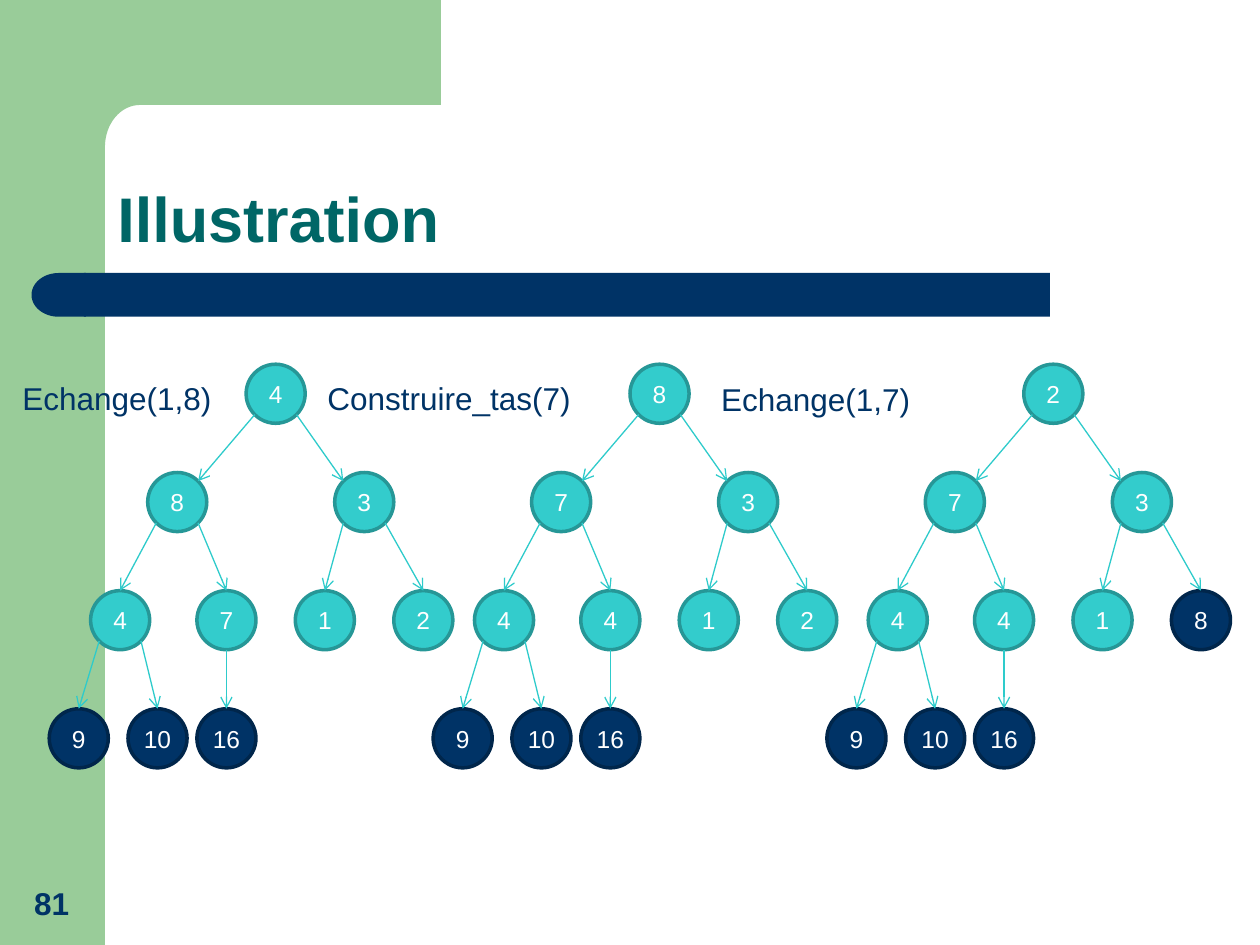
from math import cos, pi, sin

from lxml.etree import SubElement
from pptx import Presentation
from pptx.dml.color import RGBColor
from pptx.enum.shapes import MSO_CONNECTOR, MSO_SHAPE
from pptx.enum.text import MSO_ANCHOR, PP_ALIGN
from pptx.oxml.ns import qn
from pptx.util import Pt

GREEN = RGBColor(0x99, 0xCC, 0x99)
NAVY = RGBColor(0x00, 0x33, 0x66)
DARK_NAVY = RGBColor(0x00, 0x26, 0x4B)
TEAL = RGBColor(0x00, 0x66, 0x66)
TURQUOISE = RGBColor(0x33, 0xCC, 0xCC)
DARK_TURQUOISE = RGBColor(0x26, 0x97, 0x97)
ARROW = RGBColor(0x2E, 0xCB, 0xCB)
WHITE = RGBColor(0xFF, 0xFF, 0xFF)

deck = Presentation()
deck.slide_width, deck.slide_height = Pt(720), Pt(540)
page = deck.slides.add_slide(deck.slide_layouts[6])
shapes = page.shapes


def write(box, text, size=18, color=NAVY, bold=False, align=PP_ALIGN.LEFT,
          anchor=MSO_ANCHOR.TOP, spacing=None, inset=None):
    frame = box.text_frame
    frame.word_wrap = True
    frame.vertical_anchor = anchor
    if inset is not None:
        frame.margin_left = frame.margin_right = Pt(inset)
        frame.margin_top = frame.margin_bottom = Pt(inset)
    para = frame.paragraphs[0]
    para.alignment = align
    para.line_spacing = spacing
    span = para.add_run()
    span.text = text
    span.font.name = "Arial"
    span.font.size = Pt(size)
    span.font.bold = bold
    span.font.color.rgb = color


def paint(shape, fill, line=None):
    shape.shadow.inherit = False
    shape.fill.solid()
    shape.fill.fore_color.rgb = fill
    if line is None:
        shape.line.fill.background()
    else:
        shape.line.color.rgb = line
        shape.line.width = Pt(2)


# Green frame with a rounded inner corner
side_band = shapes.add_shape(MSO_SHAPE.RECTANGLE, Pt(0), Pt(0), Pt(60), Pt(540))
paint(side_band, GREEN)

STEPS = 16
angles = [pi / 2 * (1 - step / STEPS) for step in range(STEPS + 1)]
corner = [(80 - 20 * cos(angle), 84 - 24 * sin(angle)) for angle in angles]
outline = [(252, 60), *corner, (60, 92), (36, 92), (36, 0)]
builder = shapes.build_freeform(Pt(252), Pt(0))
builder.add_line_segments([(Pt(x), Pt(y)) for x, y in outline], close=True)
paint(builder.convert_to_shape(), GREEN)

# Title and its bar
bar = shapes.add_shape(MSO_SHAPE.RECTANGLE, Pt(48), Pt(156), Pt(552), Pt(25))
paint(bar, NAVY)
bar_end = shapes.add_shape(MSO_SHAPE.FLOWCHART_DELAY, Pt(18), Pt(156), Pt(31), Pt(25))
bar_end.rotation = 180
paint(bar_end, NAVY)

title = shapes.add_textbox(Pt(60), Pt(60), Pt(624), Pt(90))
write(title, "Illustration", size=36, color=TEAL, bold=True,
      anchor=MSO_ANCHOR.BOTTOM, spacing=0.9)
page_number = shapes.add_textbox(Pt(6.5), Pt(492), Pt(46), Pt(38))
write(page_number, "81", bold=True, align=PP_ALIGN.CENTER, anchor=MSO_ANCHOR.BOTTOM)

# Heap trees: node positions are relative to the left edge of each tree
NODE = 33.75
INSET = NODE * (1 - cos(pi / 4)) / 2  # from a node's box to its diagonal points
LEVELS = [208.13, 270, 337.5, 405]
NODES = [(112.5, 0), (56.25, 1), (163.13, 1),
         (23.63, 2), (84.38, 2), (140.63, 2), (196.88, 2),
         (0, 3), (45, 3), (84.38, 3)]
EDGES = [(0, 1), (0, 2), (1, 3), (1, 4), (3, 7), (3, 8), (4, 9), (2, 5), (2, 6)]

# Tree left, operation, operation position, node values, number of nodes in the heap
TREES = [
    (28.13, "Echange(1,8)", (5.63, 213), [4, 8, 3, 4, 7, 1, 2, 9, 10, 16], 7),
    (247.5, "Construire_tas(7)", (180, 213), [8, 7, 3, 4, 4, 1, 2, 9, 10, 16], 7),
    (472.5, "Echange(1,7)", (405, 213.75), [2, 7, 3, 4, 4, 1, 8, 9, 10, 16], 6),
]

for tree_left, operation, (label_left, label_top), values, heap_size in TREES:
    label = shapes.add_textbox(Pt(label_left), Pt(label_top), Pt(168.75), Pt(29))
    write(label, operation)

    for index, ((offset, level), value) in enumerate(zip(NODES, values)):
        node = shapes.add_shape(MSO_SHAPE.OVAL, Pt(tree_left + offset),
                                Pt(LEVELS[level]), Pt(NODE), Pt(NODE))
        if index < heap_size:
            paint(node, TURQUOISE, DARK_TURQUOISE)
        else:
            paint(node, NAVY, DARK_NAVY)
        write(node, str(value), size=14, color=WHITE, align=PP_ALIGN.CENTER,
              anchor=MSO_ANCHOR.MIDDLE, inset=0)

    for parent, child in EDGES:
        (parent_x, parent_level), (child_x, child_level) = NODES[parent], NODES[child]
        start_x = end_x = NODE / 2
        start_y, end_y = NODE, 0
        if child_x != parent_x:
            goes_left = child_x < parent_x
            start_x = INSET if goes_left else NODE - INSET
            start_y = NODE - INSET
            if parent == 0:
                end_x = NODE - INSET if goes_left else INSET
                end_y = INSET
        arrow = shapes.add_connector(
            MSO_CONNECTOR.STRAIGHT,
            Pt(tree_left + parent_x + start_x), Pt(LEVELS[parent_level] + start_y),
            Pt(tree_left + child_x + end_x), Pt(LEVELS[child_level] + end_y))
        arrow.line.color.rgb = ARROW
        arrow.line.width = Pt(0.75)
        SubElement(arrow.line._get_or_add_ln(), qn("a:tailEnd"), type="arrow")
        SubElement(arrow._element.spPr, qn("a:effectLst"))

deck.save("out.pptx")
